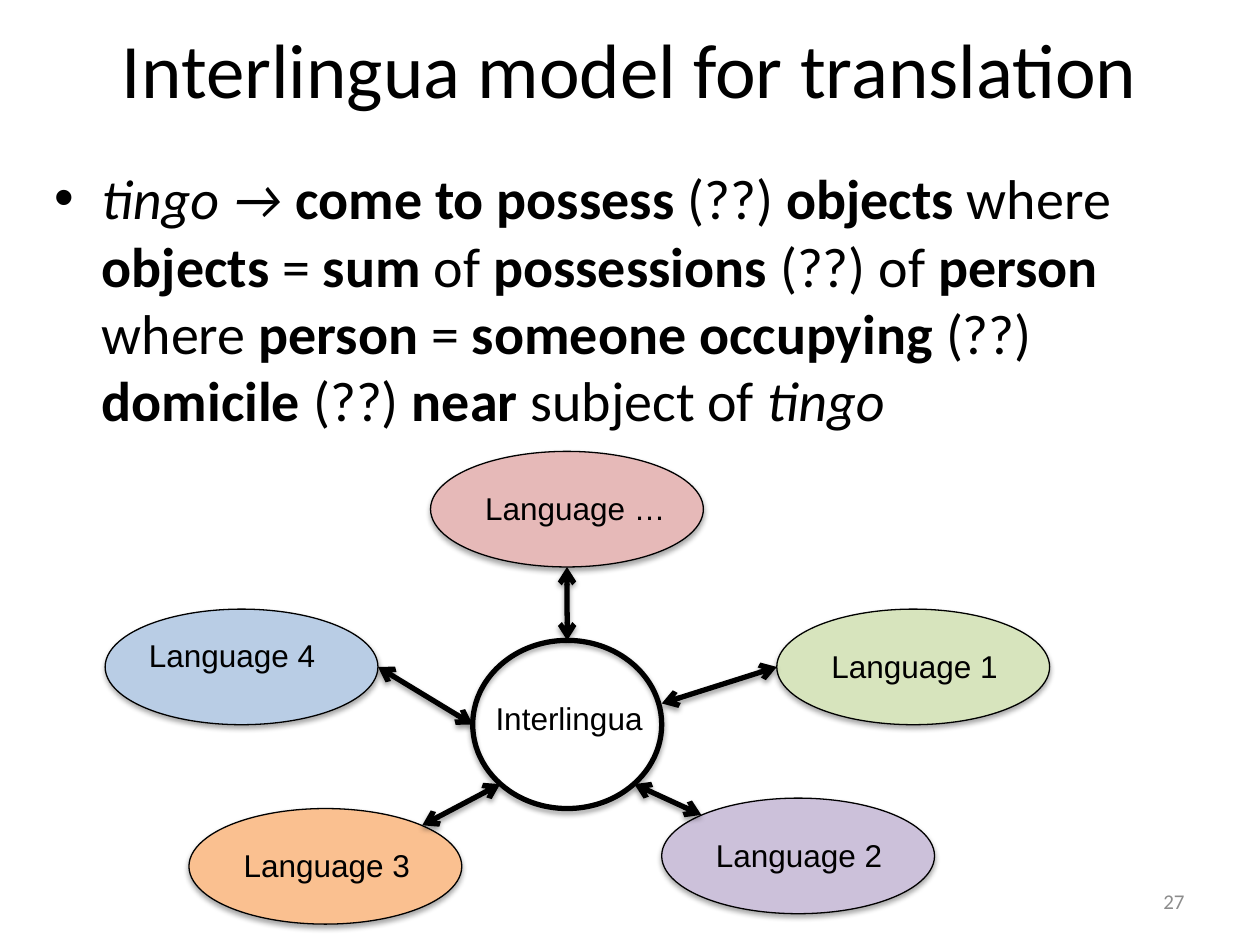
from lxml.etree import SubElement
from pptx import Presentation
from pptx.dml.color import RGBColor
from pptx.enum.shapes import MSO_CONNECTOR, MSO_SHAPE
from pptx.enum.text import MSO_ANCHOR, MSO_AUTO_SIZE, PP_ALIGN
from pptx.oxml.ns import qn
from pptx.util import Cm, Pt

COLORS = {"ink": "000000", "gray": "8C8C8C", "blue": "B9CDE5", "orange": "FAC090",
          "purple": "CCC1DA", "green": "D7E4BD", "pink": "E6B9B8"}

TITLE = "Interlingua model for translation"
NUMBER = "27"
BODY = [
    ("tingo → ", "i"), ("come to possess ", "b"), ("(??) ", ""), ("objects", "b"),
    (" where ", ""), ("objects", "b"), (" = ", ""), ("sum", "b"), (" of ", ""),
    ("possessions ", "b"), ("(??) of ", ""), ("person", "b"), (" where ", ""),
    ("person", "b"), (" = ", ""), ("someone occupying", "b"), (" (??) ", ""),
    ("domicile ", "b"), ("(??) ", ""), ("near", "b"), (" subject of ", ""), ("tingo", "i"),
]

SIZE = (5.5, 2.33)
HUB = (9.53, 12.91, 3.81, 3.39)
HUB_LABEL = ("Interlingua", 9.74, 13.97, 3.5)
DIAG = 0.71
# name, fill, oval corner, label corner and width, arrow direction at oval and at hub
NODES = [
    ("Language 4", "blue", (2.12, 12.28), (2.75, 12.7, 3.91), (1, 0), (-1, 0)),
    ("Language 3", "orange", (3.81, 16.3), (4.66, 16.93, 3.91), (DIAG, -DIAG), (-DIAG, DIAG)),
    ("Language 2", "purple", (13.34, 16.09), (14.18, 16.72, 3.91), (-DIAG, -DIAG), (DIAG, DIAG)),
    ("Language 1", "green", (15.66, 12.28), (16.51, 12.91, 3.91), (-1, 0), (1, -0.25)),
    ("Language …", "pink", (8.68, 9.1), (9.53, 9.73, 4.19), (0, 1), (0, -1)),
]


def color(name):
    return RGBColor.from_string(COLORS[name])


def add_run(para, text, size, font="Calibri", ink="ink", style=""):
    run = para.add_run()
    run.text = text
    run.font.name = font
    run.font.size = Pt(size)
    run.font.color.rgb = color(ink)
    run.font.bold = "b" in style
    run.font.italic = "i" in style


def add_box(slide, box, anchor=MSO_ANCHOR.TOP, wrap=True):
    frame = slide.shapes.add_textbox(*map(Cm, box)).text_frame
    frame.word_wrap = wrap
    frame.vertical_anchor = anchor
    return frame.paragraphs[0]


def add_label(slide, text, left, top, width):
    para = add_box(slide, (left, top, width, 1.02), wrap=False)
    para._parent.auto_size = MSO_AUTO_SIZE.SHAPE_TO_FIT_TEXT
    add_run(para, text, 18, "Arial")


def add_shadow(shape, alpha):
    props = shape._element.spPr
    list_ = props.find(qn("a:effectLst"))
    if list_ is None:
        list_ = SubElement(props, qn("a:effectLst"))
    cast = SubElement(list_, qn("a:outerShdw"), blurRad=str(Pt(3.1)), dist=str(Pt(1.8)),
                      dir="5400000", rotWithShape="0")
    tone = SubElement(cast, qn("a:srgbClr"), val=COLORS["ink"])
    SubElement(tone, qn("a:alpha"), val=str(alpha * 1000))


def add_oval(slide, box, fill, width):
    oval = slide.shapes.add_shape(MSO_SHAPE.OVAL, *map(Cm, box))
    if fill:
        oval.fill.solid()
        oval.fill.fore_color.rgb = color(fill)
    else:
        oval.fill.background()
    oval.line.color.rgb = color("ink")
    oval.line.width = Pt(width)
    oval.shadow.inherit = False
    add_shadow(oval, 35)


def rim(box, way):
    left, top, width, height = box
    return Cm(left + width * (1 + way[0]) / 2), Cm(top + height * (1 + way[1]) / 2)


def add_arrow(slide, start, end):
    arrow = slide.shapes.add_connector(MSO_CONNECTOR.STRAIGHT, *start, *end)
    arrow.line.color.rgb = color("ink")
    arrow.line.width = Pt(3)
    line = arrow.line._get_or_add_ln()
    for tip in ("a:headEnd", "a:tailEnd"):
        SubElement(line, qn(tip), type="arrow")
    add_shadow(arrow, 38)


def add_body(slide):
    para = add_box(slide, (0.85, 3.18, 23.7, 5.72))
    para.space_before = Pt(6.4)
    props = para._p.get_or_add_pPr()
    props.set("marL", str(Cm(0.95)))
    props.set("indent", str(Cm(-0.95)))
    SubElement(props, qn("a:buFont"), typeface="Arial")
    SubElement(props, qn("a:buChar"), char="•")
    for text, style in BODY:
        add_run(para, text, 32, style=style)


def main():
    deck = Presentation()
    deck.slide_width, deck.slide_height = Cm(25.4), Cm(19.05)
    slide = deck.slides.add_slide(deck.slide_layouts[6])

    title = add_box(slide, (1.27, 0, 22.86, 2.75), MSO_ANCHOR.MIDDLE)
    title.alignment = PP_ALIGN.CENTER
    add_run(title, TITLE, 44)
    add_body(slide)
    number = add_box(slide, (18.2, 17.66, 5.93, 1.01), MSO_ANCHOR.MIDDLE)
    number.alignment = PP_ALIGN.RIGHT
    add_run(number, NUMBER, 12, ink="gray")

    for _, fill, spot, *_ in NODES:
        add_oval(slide, spot + SIZE, fill, 0.75)
    add_oval(slide, HUB, None, 3)
    for _, _, spot, _, out, inn in NODES:
        add_arrow(slide, rim(spot + SIZE, out), rim(HUB, inn))
    add_label(slide, *HUB_LABEL)
    for name, _, _, place, *_ in NODES:
        add_label(slide, name, *place)

    deck.save("out.pptx")


if __name__ == "__main__":
    main()
